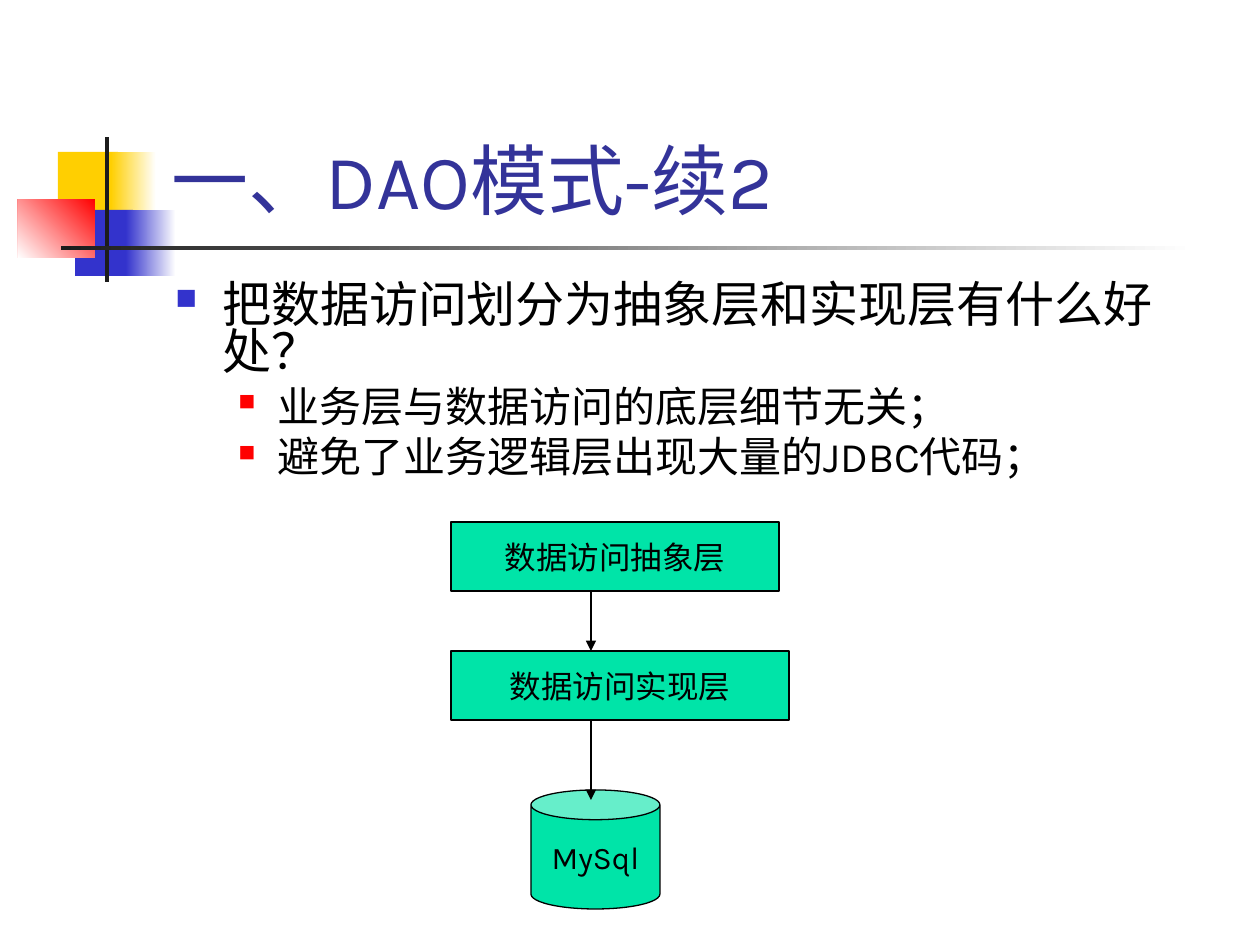
from dataclasses import dataclass

from lxml import etree
from pptx import Presentation
from pptx.dml.color import RGBColor
from pptx.enum.shapes import MSO_CONNECTOR, MSO_SHAPE
from pptx.enum.text import MSO_ANCHOR, PP_ALIGN
from pptx.oxml.ns import qn
from pptx.util import Emu, Pt

RECTANGLE, CAN = MSO_SHAPE.RECTANGLE, MSO_SHAPE.CAN
STRAIGHT = MSO_CONNECTOR.STRAIGHT
TOP, MIDDLE, BOTTOM = MSO_ANCHOR.TOP, MSO_ANCHOR.MIDDLE, MSO_ANCHOR.BOTTOM
LEFT, CENTER = PP_ALIGN.LEFT, PP_ALIGN.CENTER


@dataclass(frozen=True)
class Theme:
    font: str = "Karla"
    bullet_font: str = "Wingdings"
    bullet_char: str = "n"  # a filled square in the bullet font
    title: str = "333399"
    text: str = "000000"
    white: str = "FFFFFF"
    yellow: str = "FFCF01"
    blue: str = "3333CC"
    red: str = "FF0000"
    dark: str = "1C1C1C"
    green: str = "00E4A8"
    title_size: int = 44
    body_size: int = 28
    point_size: int = 24
    label_size: int = 18
    line_width: float = 0.75


THEME = Theme()

# Content; boxes are left, top, width, height in px
TITLE = "一、DAO模式-续2"
TITLE_BOX = (159, 29, 1074, 202)
BODY_BOX = (163, 279, 1071, 224)
BODY = [
    (0, "把数据访问划分为抽象层和实现层有什么好处？"),
    (1, "业务层与数据访问的底层细节无关；"),
    (1, "避免了业务逻辑层出现大量的JDBC代码；"),
]
LEVELS = [
    dict(size=THEME.body_size, before=7, margin=47, hanging=47,
         bullet=THEME.blue, bullet_percent=60),
    dict(size=THEME.point_size, before=6, margin=102, hanging=39,
         bullet=THEME.red, bullet_percent=55),
]
# Box, colour, and the angle along which the colour fades to white
ORNAMENTS = [
    ((58, 152, 60, 66), THEME.yellow, None),
    ((111, 152, 45, 66), THEME.yellow, 0),
    ((75, 210, 58, 66), THEME.blue, None),
    ((126, 210, 50, 66), THEME.blue, 0),
    ((18, 199, 77, 59), THEME.red, 225),
    ((105, 137, 4, 145), THEME.dark, None),
    ((61, 246, 1134, 4), THEME.dark, 0),
]
LAYERS = [
    ("数据访问抽象层", RECTANGLE, (451, 522, 328, 69)),
    ("数据访问实现层", RECTANGLE, (451, 651, 338, 69)),
    ("MySql", CAN, (531, 790, 129, 119)),
]
ARROW_X = 591
CAN_OVERLAP = 10


def px(value):
    return Emu(round(value * 914400 / 126))


def place(box):
    return [px(value) for value in box]


def color(value):
    return RGBColor.from_string(value)


def add_bullet(para, value, percent, margin, hanging):
    props = para._p.get_or_add_pPr()
    props.set("marL", str(px(margin)))
    props.set("indent", str(-px(hanging)))
    props.set("hangingPunct", "0")
    holder = etree.SubElement(props, qn("a:buClr"))
    etree.SubElement(holder, qn("a:srgbClr"), val=value)
    etree.SubElement(props, qn("a:buSzPct"), val=str(percent * 1000))
    etree.SubElement(props, qn("a:buFont"), typeface=THEME.bullet_font,
                     pitchFamily="2", charset="2")
    etree.SubElement(props, qn("a:buChar"), char=THEME.bullet_char)


def write(para, text, *, size, value=THEME.text, align=LEFT):
    para.alignment = align
    span = para.add_run()
    span.text = text
    span.font.name = THEME.font
    span.font.size = Pt(size)
    span.font.color.rgb = color(value)


def set_frame(frame, anchor, wrap):
    frame.vertical_anchor = anchor
    frame.word_wrap = wrap
    return frame


def add_block(page, kind, box, value, angle=None, outlined=False):
    shape = page.shapes.add_shape(kind, *place(box))
    shape.shadow.inherit = False
    if angle is None:
        shape.fill.solid()
        shape.fill.fore_color.rgb = color(value)
    else:
        shape.fill.gradient()
        shape.fill.gradient_angle = angle
        for stop, tone in zip(shape.fill.gradient_stops, (value, THEME.white)):
            stop.color.rgb = color(tone)
    if outlined:
        shape.line.color.rgb = color(THEME.text)
        shape.line.width = Pt(THEME.line_width)
    else:
        shape.line.fill.background()
    return shape


def add_arrow(page, start, end):
    arrow = page.shapes.add_connector(
        STRAIGHT, px(ARROW_X), px(start), px(ARROW_X), px(end))
    arrow.line.color.rgb = color(THEME.text)
    arrow.line.width = Pt(THEME.line_width)
    etree.SubElement(arrow.line._get_or_add_ln(), qn("a:tailEnd"), type="triangle")
    etree.SubElement(arrow._element.spPr, qn("a:effectLst"))


def main():
    deck = Presentation()
    deck.slide_width, deck.slide_height = px(1260), px(945)
    page = deck.slides.add_slide(deck.slide_layouts[6])

    # Ornament beside the title
    for box, value, angle in ORNAMENTS:
        add_block(page, RECTANGLE, box, value, angle)

    # Title
    frame = page.shapes.add_textbox(*place(TITLE_BOX)).text_frame
    set_frame(frame, BOTTOM, True)
    write(frame.paragraphs[0], TITLE, size=THEME.title_size, value=THEME.title)

    # Bulleted text
    frame = page.shapes.add_textbox(*place(BODY_BOX)).text_frame
    set_frame(frame, TOP, True)
    for index, (level, text) in enumerate(BODY):
        style = LEVELS[level]
        para = frame.add_paragraph() if index else frame.paragraphs[0]
        add_bullet(para, style["bullet"], style["bullet_percent"],
                   style["margin"], style["hanging"])
        para.level = level
        para.line_spacing = 0.8
        if index:
            para.space_before = Pt(style["before"])
        write(para, text, size=style["size"])

    # Layers
    for text, kind, box in LAYERS:
        shape = add_block(page, kind, box, THEME.green, outlined=True)
        frame = set_frame(shape.text_frame, MIDDLE, False)
        write(frame.paragraphs[0], text, size=THEME.label_size, align=CENTER)

    # Arrows from each layer to the next, reaching into the can's lid
    for (_, _, upper), (_, kind, lower) in zip(LAYERS, LAYERS[1:]):
        overlap = CAN_OVERLAP if kind == CAN else 0
        add_arrow(page, upper[1] + upper[3], lower[1] + overlap)

    deck.save("out.pptx")


if __name__ == "__main__":
    main()
